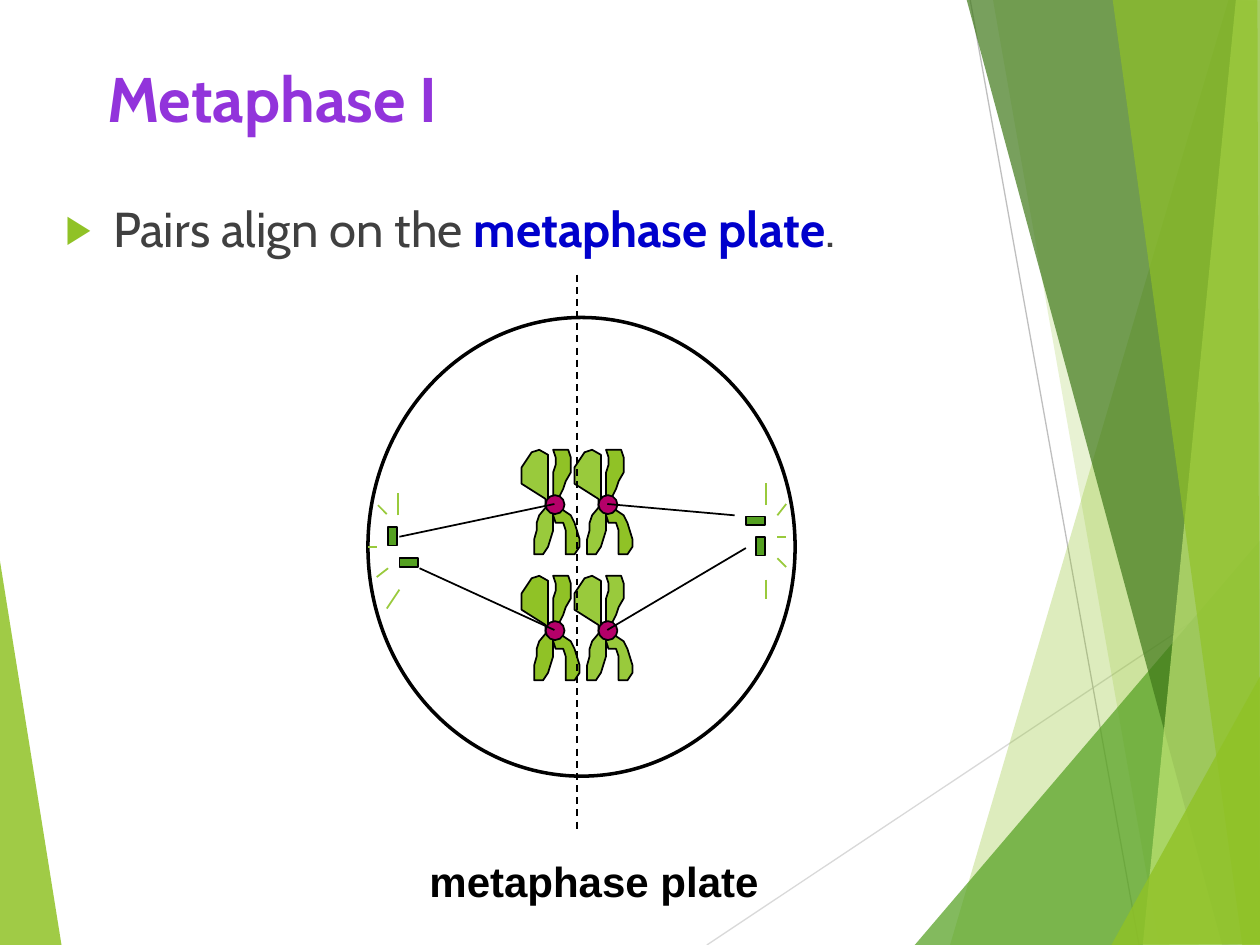
from dataclasses import dataclass

from lxml import etree
from pptx import Presentation
from pptx import util as u
from pptx.dml.color import RGBColor
from pptx.enum import dml, shapes, text
from pptx.oxml import ns

Point = tuple[float, float]


@dataclass(frozen=True)
class Theme:
    lime: str = "90C226"
    light_lime: str = "99CA3C"
    pale_lime: str = "C0E474"
    green: str = "54A021"
    dark_green: str = "3F7819"
    magenta: str = "B50069"
    black: str = "000000"
    white: str = "FFFFFF"
    purple: str = "9234DB"
    blue: str = "0000CC"
    body: str = "404040"
    title_size: int = 36
    body_size: int = 28
    label_size: int = 24
    font: str = "Cabin"
    label_font: str = "Arial"


@dataclass(frozen=True)
class Panel:
    points: list[Point]
    color: str
    opacity: int


@dataclass(frozen=True)
class Line:
    start: Point
    end: Point


@dataclass(frozen=True)
class Chromosome:
    centre: Point
    left_color: str
    right_color: str


THEME = Theme()

PANELS = [
    Panel([(-0.01, 4.39), (0.49, 7.51), (-0.01, 7.5)], THEME.lime, 85),
    Panel([(9.75, 0), (7.54, 7.5), (10.02, 7.51), (10.01, 0.01)], THEME.lime, 30),
    Panel([(7.88, -0.01), (9.2, 7.5), (10.01, 7.5), (10.01, -0.01)], THEME.lime, 20),
    Panel([(7.26, 7.5), (10, 4.29), (10.01, 7.5)], THEME.green, 72),
    Panel([(7.67, -0.01), (9.7, 7.5), (10.01, 7.49), (10.01, -0.01)], THEME.dark_green, 70),
    Panel([(9.81, -0.01), (9.07, 7.5), (10.01, 7.5), (10, -0.01)], THEME.pale_lime, 70),
    Panel([(8.83, -0.01), (9.86, 7.5), (10, 7.5), (9.98, -0.01)], THEME.lime, 65),
    Panel([(8.82, 7.5), (10.01, 5.35), (10.01, 7.49)], THEME.lime, 80),
]

# Chromatid outlines, measured from the centromere
LEFT_CHROMATID = [
    (0, 0), (-0.06, -0.02), (-0.06, -0.39), (-0.13, -0.43), (-0.19, -0.41),
    (-0.27, -0.29), (-0.27, -0.16), (-0.08, -0.04), (-0.08, 0.03), (-0.13, 0.09),
    (-0.15, 0.15), (-0.15, 0.21), (-0.17, 0.28), (-0.17, 0.4), (-0.1, 0.4),
    (-0.06, 0.34), (-0.02, 0.21), (-0.02, 0.03),
]
RIGHT_CHROMATID = [
    (0, 0), (-0.02, -0.06), (-0.02, -0.25), (0, -0.31), (0, -0.37), (-0.02, -0.43),
    (0.1, -0.43), (0.12, -0.37), (0.12, -0.25), (0.08, -0.18), (0.06, -0.12), (0, 0),
    (0.06, 0.05), (0.12, 0.09), (0.15, 0.15), (0.19, 0.28), (0.19, 0.34), (0.15, 0.4),
    (0.08, 0.4), (0.08, 0.21), (0.06, 0.15), (0, 0.15), (-0.02, 0.09), (-0.02, 0.03),
]
LEFT_X, RIGHT_X, TOP_Y, BOTTOM_Y = 4.41, 4.83, 4, 5
CHROMOSOMES = [
    Chromosome((LEFT_X, BOTTOM_Y), THEME.lime, THEME.lime),
    Chromosome((RIGHT_X, TOP_Y), THEME.light_lime, THEME.lime),
    Chromosome((LEFT_X, TOP_Y), THEME.light_lime, THEME.lime),
    Chromosome((RIGHT_X, BOTTOM_Y), THEME.light_lime, THEME.light_lime),
]
UPRIGHT, FLAT = (0.07, 0.15), (0.15, 0.07)
CENTRIOLES = [((6, 4.26), UPRIGHT), ((3.08, 4.18), UPRIGHT),
              ((5.92, 4.1), FLAT), ((3.17, 4.43), FLAT)]
ASTER_RAYS = [
    Line((3.17, 4.68), (3.07, 4.83)), Line((3.08, 4.51), (2.99, 4.58)),
    Line((2.92, 4.34), (2.99, 4.34)), Line((3, 4.01), (3.07, 4.08)),
    Line((3.16, 4.09), (3.16, 3.91)), Line((6.08, 4.01), (6.08, 3.83)),
    Line((6.17, 4.09), (6.24, 4)), Line((6.17, 4.26), (6.24, 4.26)),
    Line((6.17, 4.43), (6.24, 4.5)), Line((6.08, 4.6), (6.08, 4.75)),
]
SPINDLE_FIBRES = [
    Line((3.33, 4.51), (4.4, 5)), Line((3.17, 4.26), (4.4, 4)),
    Line((5.83, 4.09), (4.82, 4)), Line((5.92, 4.35), (4.82, 5)),
]


def paint(shape, color: str, outline: float = 0, opacity: int = 100) -> None:
    shape.shadow.inherit = False
    shape.fill.solid()
    shape.fill.fore_color.rgb = RGBColor.from_string(color)
    if opacity < 100:
        tint = shape.fill._xPr.find(".//" + ns.qn("a:srgbClr"))
        etree.SubElement(tint, ns.qn("a:alpha"), val=str(opacity * 1000))
    if outline:
        shape.line.color.rgb = RGBColor.from_string(THEME.black)
        shape.line.width = u.Pt(outline)
    else:
        shape.line.fill.background()


def add_outline(page, points: list[Point], color: str, **look) -> None:
    corners = [(u.Inches(x), u.Inches(y)) for x, y in points]
    builder = page.shapes.build_freeform(*corners[0])
    builder.add_line_segments(corners[1:], close=True)
    paint(builder.convert_to_shape(), color, **look)


def add_preset(page, kind, at: Point, size: Point, color: str, outline: float = 1) -> None:
    shape = page.shapes.add_shape(kind, *map(u.Inches, at + size))
    paint(shape, color, outline)


def add_line(page, line: Line, color: str, width: float = 1, dashed: bool = False) -> None:
    connector = page.shapes.add_connector(
        shapes.MSO_CONNECTOR.STRAIGHT, *map(u.Inches, line.start + line.end))
    connector.line.color.rgb = RGBColor.from_string(color)
    connector.line.width = u.Pt(width)
    if dashed:
        connector.line.dash_style = dml.MSO_LINE.DASH
    etree.SubElement(connector._element.spPr, ns.qn("a:effectLst"))


def add_chromosome(page, chromosome: Chromosome) -> None:
    x, y = chromosome.centre
    for outline, color in ((LEFT_CHROMATID, chromosome.left_color),
                           (RIGHT_CHROMATID, chromosome.right_color)):
        add_outline(page, [(x + dx, y + dy) for dx, dy in outline], color, outline=1)
    add_preset(page, shapes.MSO_SHAPE.OVAL, (x - 0.08, y - 0.07), (0.15, 0.15), THEME.magenta)


def add_span(para, words: str, *, size: int, color: str, font: str = THEME.font,
             bold: bool = False) -> None:
    span = para.add_run()
    span.text = words
    span.font.name, span.font.size, span.font.bold = font, u.Pt(size), bold
    span.font.color.rgb = RGBColor.from_string(color)


def place(box, left: float, top: float, width: float, height: float, wrap: bool = True):
    """Position a text box and return its first paragraph."""
    box.left, box.top, box.width, box.height = map(u.Inches, (left, top, width, height))
    frame = box.text_frame
    frame.word_wrap, frame.auto_size = wrap, text.MSO_AUTO_SIZE.NONE
    frame.vertical_anchor = text.MSO_ANCHOR.TOP
    para = frame.paragraphs[0]
    para.alignment = text.PP_ALIGN.LEFT
    return para


def add_bullet(para, mark: str, color: str) -> None:
    para.line_spacing = 0.9
    settings = para._p.get_or_add_pPr()
    settings.set("marL", str(u.Inches(0.38)))
    settings.set("indent", str(-u.Inches(0.38)))
    tint = etree.SubElement(settings, ns.qn("a:buClr"))
    etree.SubElement(tint, ns.qn("a:srgbClr"), val=color)
    etree.SubElement(settings, ns.qn("a:buSzPct"), val="80000")
    etree.SubElement(settings, ns.qn("a:buFont"), typeface=THEME.label_font)
    etree.SubElement(settings, ns.qn("a:buChar"), char=mark)


def main() -> None:
    deck = Presentation()
    deck.slide_width, deck.slide_height = u.Inches(10), u.Inches(7.5)
    page = deck.slides.add_slide(deck.slide_layouts[5])

    # Background facets
    add_line(page, Line((5.61, 7.5), (10.01, 4.57)), "D9D9D9", 0.75)
    add_line(page, Line((7.7, 0), (9.04, 7.5)), "BFBFBF", 0.75)
    for panel in PANELS:
        add_outline(page, panel.points, panel.color, opacity=panel.opacity)

    # Title, brought in front of the facets, and bullet
    title = page.shapes.title
    page.shapes._spTree.append(title._element)
    add_span(place(title, 0.75, 0.42, 8.5, 1.25), "Metaphase I",
             size=THEME.title_size, color=THEME.purple, bold=True)
    para = place(page.shapes.add_textbox(0, 0, 0, 0), 0.42, 1.58, 9.25, 4.5)
    add_bullet(para, "▶", THEME.lime)
    add_span(para, "Pairs align on the ", size=THEME.body_size, color=THEME.body)
    add_span(para, "metaphase plate", size=THEME.body_size, color=THEME.blue, bold=True)
    add_span(para, ".", size=THEME.body_size, color=THEME.body)

    # Cell, centrioles and chromosomes
    add_preset(page, shapes.MSO_SHAPE.OVAL, (2.92, 2.52), (3.39, 3.64), THEME.white, 2)
    for at, size in CENTRIOLES:
        add_preset(page, shapes.MSO_SHAPE.RECTANGLE, at, size, THEME.green)
    for ray in ASTER_RAYS:
        add_line(page, ray, THEME.light_lime)
    for chromosome in CHROMOSOMES:
        add_chromosome(page, chromosome)

    # Metaphase plate with its label, and spindle fibres
    label = place(page.shapes.add_textbox(0, 0, 0, 0), 3.31, 6.74, 2.81, 0.5, wrap=False)
    add_span(label, "metaphase plate", size=THEME.label_size, color=THEME.black,
             font=THEME.label_font, bold=True)
    add_line(page, Line((4.58, 2.18), (4.58, 6.58)), THEME.black, dashed=True)
    for fibre in SPINDLE_FIBRES:
        add_line(page, fibre, THEME.black)

    deck.save("out.pptx")


if __name__ == "__main__":
    main()
